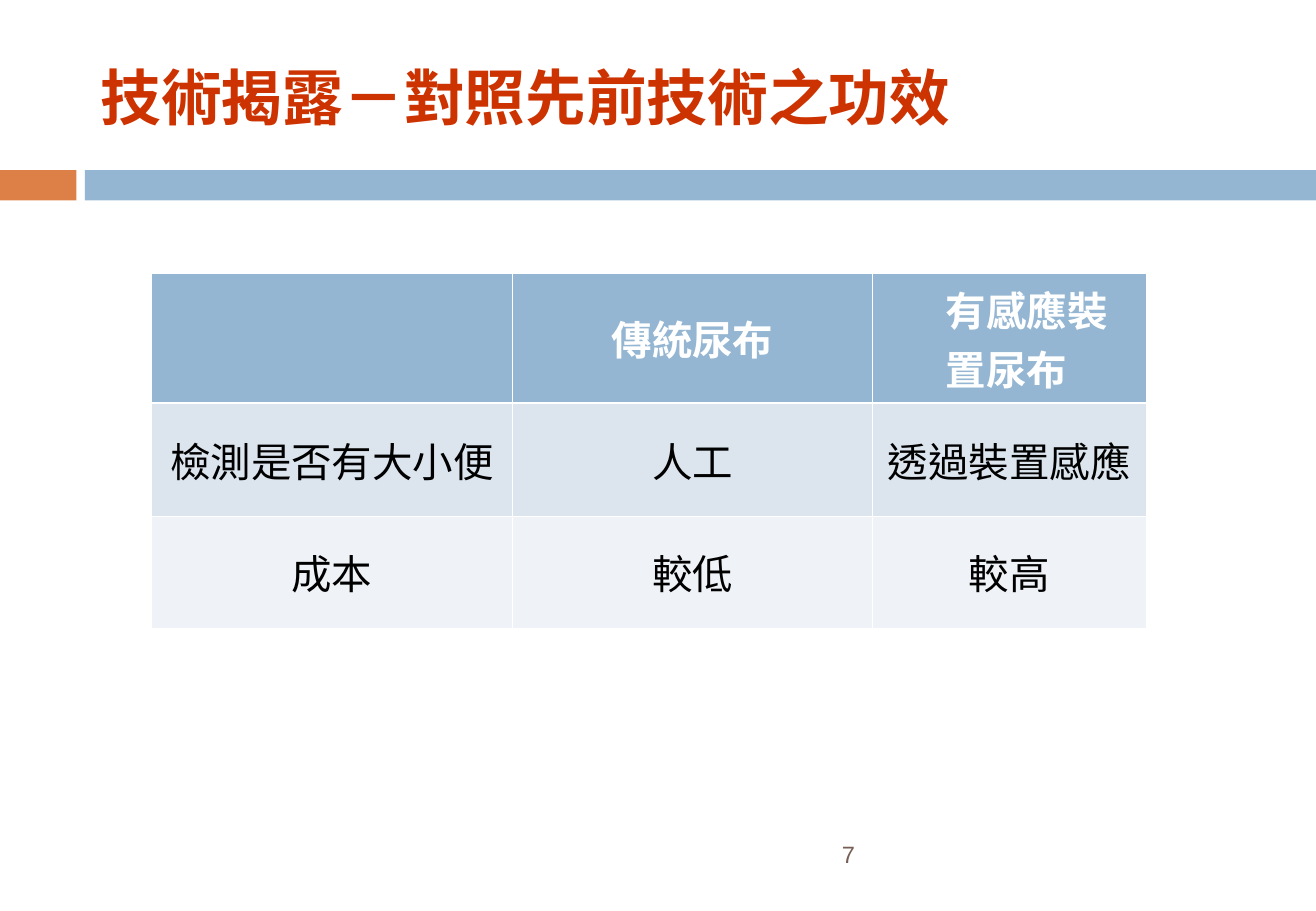
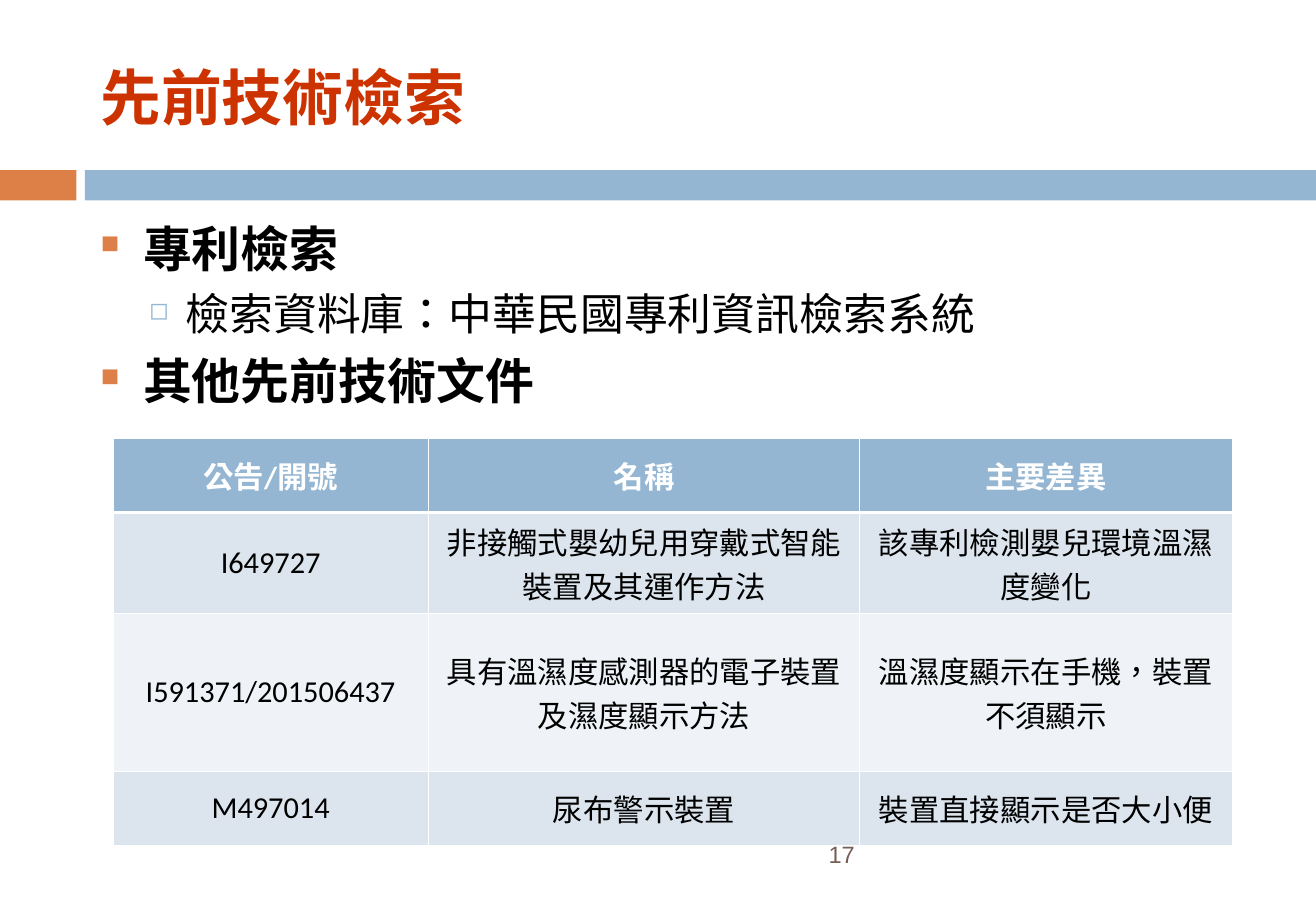
from lxml.etree import SubElement
from pptx import Presentation
from pptx.dml.color import RGBColor
from pptx.enum.lang import MSO_LANGUAGE_ID
from pptx.enum.shapes import MSO_SHAPE
from pptx.enum.text import MSO_ANCHOR, PP_ALIGN
from pptx.oxml.ns import qn
from pptx.util import Inches, Pt

COLORS = {
    "title": "CC3300", "orange": "DD8047", "blue": "94B6D2", "page": "775F55",
    "odd": "DCE5EE", "even": "EFF3F7", "white": "FFFFFF", "black": "000000",
}
BANDS = [(0, 0.63, "orange"), (0.7, 10.14, "blue")]
SLIDES = [
    {
        "title": "技術揭露－對照先前技術之功效", "page": "7", "bullets": [],
        "at": (1.25, 2.25), "size": 24,
        "cols": [2.97, 2.97, 2.25], "rows": [1.07, 0.93, 0.92],
        "cells": [
            ["", "傳統尿布", "有感應裝置尿布"],
            ["檢測是否有大小便", "人工", "透過裝置感應"],
            ["成本", "較低", "較高"],
        ],
        "indented": "有感應裝置尿布",
    },
    {
        "title": "先前技術檢索", "page": "17",
        "bullets": [
            (0, "專利檢索"),
            (1, "檢索資料庫：中華民國專利資訊檢索系統"),
            (0, "其他先前技術文件"),
        ],
        "at": (0.93, 3.61), "size": 18,
        "cols": [2.6, 3.55, 3.07], "rows": [0.61, 0.83, 1.3, 0.61],
        "cells": [
            ["公告/開號", "名稱", "主要差異"],
            ["I649727", "非接觸式嬰幼兒用穿戴式智能裝置及其運作方法", "該專利檢測嬰兒環境溫濕度變化"],
            ["I591371/201506437", "具有溫濕度感測器的電子裝置及濕度顯示方法", "溫濕度顯示在手機，裝置不須顯示"],
            ["M497014", "尿布警示裝置", "裝置直接顯示是否大小便"],
        ],
        "indented": None,
    },
]
LEVELS = [
    {"size": 29, "bold": True, "left": 0.35, "hang": 0.35, "before": 7, "bullet": ("■", "orange", 52)},
    {"size": 26, "bold": False, "left": 0.7, "hang": 0.3, "before": 5.5, "bullet": ("◻", "blue", 55)},
]


def write(p, text, size, color="black", bold=False, font="Calibri", align=PP_ALIGN.LEFT,
          left=0, hang=0, before=0, bullet=None):
    pPr = p._p.get_or_add_pPr()
    pPr.set("marL", str(Inches(left)))
    pPr.set("indent", str(-Inches(hang)))
    if bullet:
        char, bullet_color, percent = bullet
        clr = SubElement(pPr, qn("a:buClr"))
        SubElement(clr, qn("a:srgbClr"), val=COLORS[bullet_color])
        SubElement(pPr, qn("a:buSzPct"), val=str(percent * 1000))
        SubElement(pPr, qn("a:buChar"), char=char)
    p.alignment = align
    p.space_before = Pt(before)
    r = p.add_run()
    r.text = text
    r.font.name = font
    r.font.size = Pt(size)
    r.font.bold = bold
    r.font.color.rgb = RGBColor.from_string(COLORS[color])
    r.font.language_id = MSO_LANGUAGE_ID.TRADITIONAL_CHINESE


def add_text_frame(s, left, top, width, height, anchor=MSO_ANCHOR.MIDDLE):
    tf = s.shapes.add_textbox(Inches(left), Inches(top), Inches(width), Inches(height)).text_frame
    tf.word_wrap = True
    tf.vertical_anchor = anchor
    return tf


prs = Presentation()
prs.slide_width = Inches(10.84)
prs.slide_height = Inches(7.5)

for data in SLIDES:
    s = prs.slides.add_slide(prs.slide_layouts[6])
    for left, width, color in BANDS:
        sp = s.shapes.add_shape(MSO_SHAPE.RECTANGLE, Inches(left), Inches(1.4), Inches(width), Inches(0.25))
        sp.shadow.inherit = False
        sp.fill.solid()
        sp.fill.fore_color.rgb = RGBColor.from_string(COLORS[color])
        sp.line.fill.background()

    tf = add_text_frame(s, 0.73, 0.25, 9.66, 1.08)
    write(tf.paragraphs[0], data["title"], 36, color="title", bold=True)
    tf = add_text_frame(s, 0.72, 6.83, 6.42, 0.4)
    write(tf.paragraphs[0], data["page"], 14, color="page", font="Arial", align=PP_ALIGN.RIGHT)

    if data["bullets"]:
        tf = add_text_frame(s, 0.73, 1.75, 9.66, 1.75, MSO_ANCHOR.TOP)
        for i, (level, text) in enumerate(data["bullets"]):
            p = tf.paragraphs[0] if i == 0 else tf.add_paragraph()
            p.level = level
            style = LEVELS[level] if i else {**LEVELS[level], "before": 0}
            write(p, text, **style)

    cols, rows = data["cols"], data["rows"]
    left, top = data["at"]
    table = s.shapes.add_table(len(rows), len(cols), Inches(left), Inches(top),
                               Inches(sum(cols)), Inches(sum(rows))).table
    for col, width in zip(table.columns, cols):
        col.width = Inches(width)
    for i, (row, height) in enumerate(zip(table.rows, rows)):
        row.height = Inches(height)
        header = i == 0
        fill = "blue" if header else "odd" if i % 2 else "even"
        heavy = {0: "lnB", 1: "lnT"}.get(i)
        for cell, text in zip(row.cells, data["cells"][i]):
            tcPr = cell._tc.get_or_add_tcPr()
            for side in ("lnL", "lnR", "lnT", "lnB"):
                ln = SubElement(tcPr, qn(f"a:{side}"), w=str(Pt(1.47 if side == heavy else 0.45)))
                solid = SubElement(ln, qn("a:solidFill"))
                SubElement(solid, qn("a:srgbClr"), val=COLORS["white"])
            cell.fill.solid()
            cell.fill.fore_color.rgb = RGBColor.from_string(COLORS[fill])
            cell.vertical_anchor = MSO_ANCHOR.MIDDLE
            if text:
                indented = text == data["indented"]
                write(cell.text_frame.paragraphs[0], text, data["size"],
                      color="white" if header else "black", bold=header,
                      align=PP_ALIGN.LEFT if indented else PP_ALIGN.CENTER,
                      left=0.5 if indented else 0)

prs.save("out.pptx")
